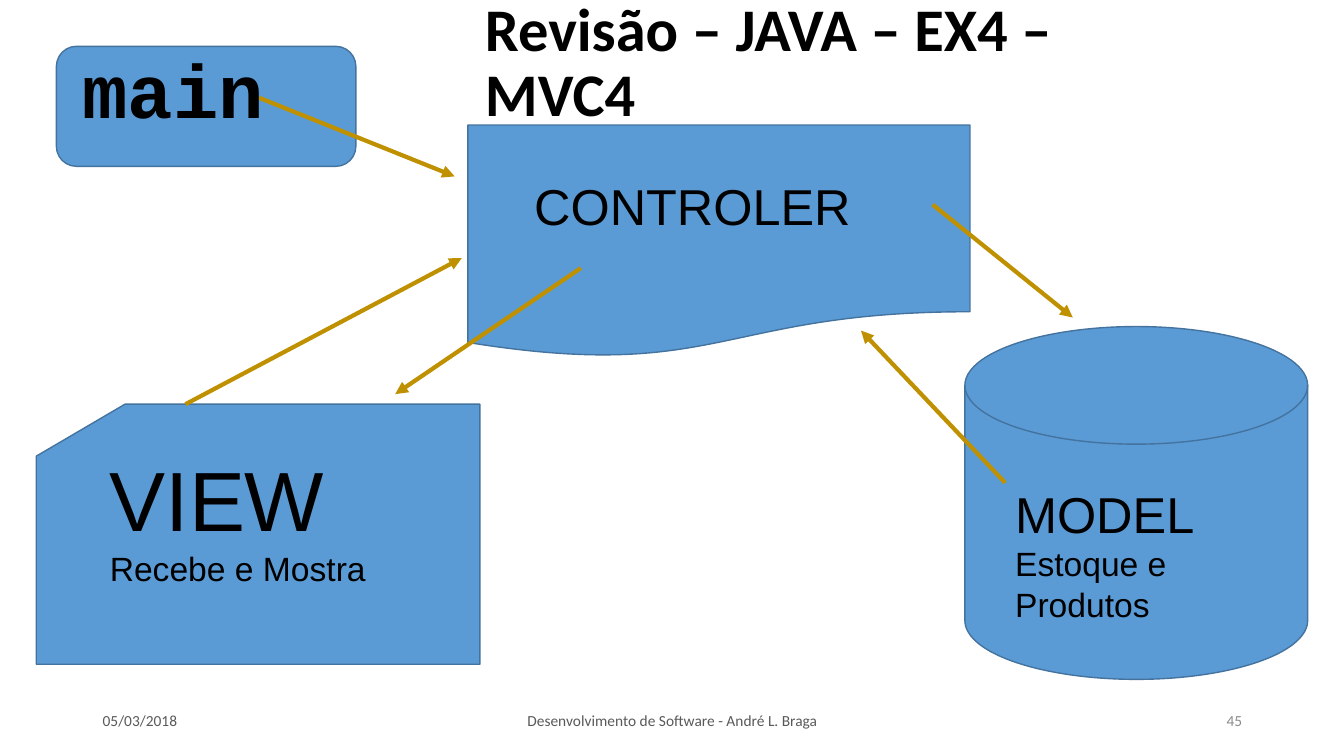
from dataclasses import dataclass

from lxml import etree
from pptx import Presentation
from pptx.dml.color import RGBColor
from pptx.enum.shapes import MSO_CONNECTOR, MSO_SHAPE
from pptx.enum.text import MSO_ANCHOR, MSO_AUTO_SIZE, PP_ALIGN
from pptx.oxml.ns import qn
from pptx.slide import Slide
from pptx.text.text import TextFrame
from pptx.util import Inches, Pt

DISK = MSO_SHAPE.FLOWCHART_MAGNETIC_DISK
CARD = MSO_SHAPE.FLOWCHART_CARD
PAPER = MSO_SHAPE.FLOWCHART_DOCUMENT
ROUND = MSO_SHAPE.FLOWCHART_ALTERNATE_PROCESS
STRAIGHT = MSO_CONNECTOR.STRAIGHT
LEFT, CENTER, RIGHT = PP_ALIGN.LEFT, PP_ALIGN.CENTER, PP_ALIGN.RIGHT
TOP, MIDDLE = MSO_ANCHOR.TOP, MSO_ANCHOR.MIDDLE
FIXED = MSO_AUTO_SIZE.NONE

Box = tuple[float, float, float, float]
Point = tuple[float, float]


# Colours, fonts and type sizes
@dataclass(frozen=True)
class Theme:
    fill: str = "5B9BD5"
    edge: str = "43739E"
    arrow: str = "BF9000"
    ink: str = "000000"
    foot: str = "595959"
    page: str = "8C8C8C"
    sans: str = "Calibri"
    label: str = "Arial"
    mono: str = "Courier New"
    title: float = 43.2
    main: float = 54
    view: float = 60
    head: float = 36
    body: float = 24
    small: float = 11


THEME = Theme()


@dataclass(frozen=True)
class Block:
    kind: MSO_SHAPE
    box: Box


@dataclass(frozen=True)
class Arrow:
    start: Point
    end: Point


@dataclass(frozen=True)
class Run:
    text: str
    size: float
    font: str = THEME.label
    color: str = THEME.ink
    bold: bool = False


@dataclass(frozen=True)
class Label:
    box: Box
    lines: tuple[tuple[Run, ...], ...]  # paragraphs; runs part at line breaks
    align: PP_ALIGN = LEFT
    anchor: MSO_ANCHOR = TOP


def foot(left: float, width: float, text: str, align: PP_ALIGN,
         color: str = THEME.foot) -> Label:
    run = Run(text, THEME.small, THEME.sans, color)
    return Label((left, 6.95, width, 0.4), ((run,),), align, MIDDLE)


# Slide content
TITLE = Label((4.71, 0.13, 7.35, 1.02),
              ((Run("Revisão – JAVA – EX4 – MVC4", THEME.title, THEME.sans, bold=True),),),
              anchor=MIDDLE)
BLOCKS = (
    Block(DISK, (9.57, 3.24, 3.4, 3.5)),
    Block(CARD, (0.36, 4.01, 4.4, 2.58)),
    Block(PAPER, (4.64, 1.24, 4.98, 2.31)),
    Block(ROUND, (0.56, 0.46, 2.97, 1.19)),
)
ARROWS = (
    Arrow((2.57, 0.97), (4.51, 1.75)),
    Arrow((1.84, 4.01), (4.58, 2.56)),
    Arrow((9.25, 2.03), (10.64, 3.15)),
    Arrow((9.97, 4.79), (8.54, 3.28)),
    Arrow((5.76, 2.66), (3.92, 3.91)),
)
LABELS = (
    foot(0.92, 3, "05/03/2018", LEFT),
    foot(4.42, 4.5, "Desenvolvimento de Software - André L. Braga", CENTER),
    foot(9.42, 3, "45", RIGHT, THEME.page),
    Label((5.2, 1.69, 4.11, 0.71), ((Run("CONTROLER", THEME.head),),)),
    Label((9.97, 4.74, 2.46, 1.51),
          ((Run("MODEL", THEME.head),),
           (Run("Estoque e", THEME.body),),
           (Run("Produtos", THEME.body),))),
    Label((0.99, 4.39, 3.52, 1.51),
          ((Run("VIEW", THEME.view), Run("Recebe e Mostra", THEME.body)),)),
    Label((0.72, 0.38, 2.22, 1.01),
          ((Run("main", THEME.main, THEME.mono, bold=True),),)),
)


# Drawing
def write(frame: TextFrame, label: Label) -> None:
    frame.word_wrap = True
    frame.auto_size = FIXED
    frame.vertical_anchor = label.anchor
    for row, runs in enumerate(label.lines):
        para = frame.add_paragraph() if row else frame.paragraphs[0]
        para.alignment = label.align
        for order, item in enumerate(runs):
            if order:
                para.add_line_break()
            run = para.add_run()
            run.text = item.text
            run.font.name = item.font
            run.font.size = Pt(item.size)
            run.font.bold = item.bold
            run.font.color.rgb = RGBColor.from_string(item.color)


def draw_title(slide: Slide, label: Label) -> None:
    title = slide.shapes.title
    title.left, title.top, title.width, title.height = map(Inches, label.box)
    write(title.text_frame, label)
    title.text_frame.paragraphs[0].line_spacing = 0.9


def draw_block(slide: Slide, block: Block) -> None:
    shape = slide.shapes.add_shape(block.kind, *map(Inches, block.box))
    shape.shadow.inherit = False
    shape.fill.solid()
    shape.fill.fore_color.rgb = RGBColor.from_string(THEME.fill)
    shape.line.color.rgb = RGBColor.from_string(THEME.edge)
    shape.line.width = Pt(1)


def draw_arrow(slide: Slide, arrow: Arrow) -> None:
    ends = map(Inches, arrow.start + arrow.end)
    link = slide.shapes.add_connector(STRAIGHT, *ends)
    link.line.color.rgb = RGBColor.from_string(THEME.arrow)
    link.line.width = Pt(3)
    etree.SubElement(link.line._get_or_add_ln(), qn("a:tailEnd"), type="triangle")
    etree.SubElement(link._element.spPr, qn("a:effectLst"))


def draw_label(slide: Slide, label: Label) -> None:
    box = slide.shapes.add_textbox(*map(Inches, label.box))
    write(box.text_frame, label)


def main() -> None:
    deck = Presentation()
    deck.slide_width, deck.slide_height = Inches(13.33), Inches(7.5)
    slide = deck.slides.add_slide(deck.slide_layouts[5])
    draw_title(slide, TITLE)
    for block in BLOCKS:
        draw_block(slide, block)
    for arrow in ARROWS:
        draw_arrow(slide, arrow)
    for label in LABELS:
        draw_label(slide, label)
    deck.save("out.pptx")


if __name__ == "__main__":
    main()
